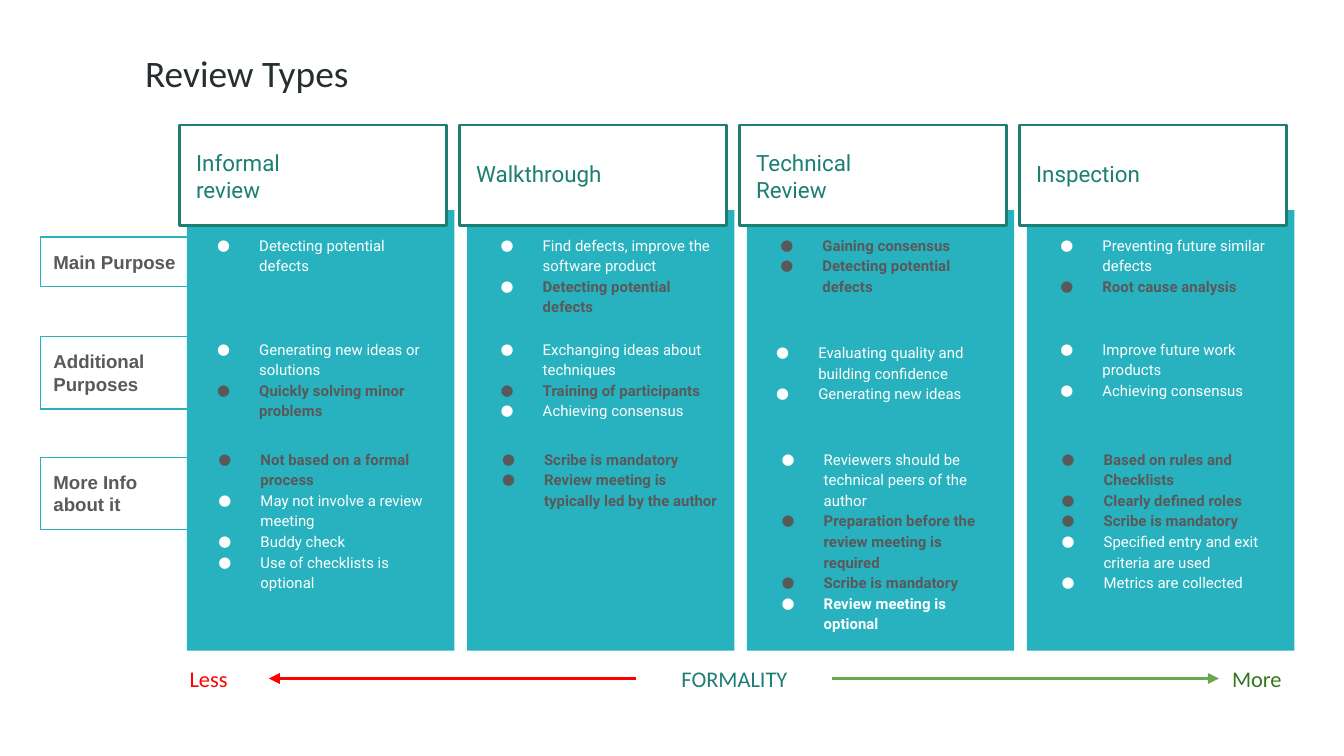
from lxml import etree
from pptx import Presentation
from pptx.dml.color import RGBColor
from pptx.enum import shapes, text
from pptx.oxml import ns
from pptx.util import Pt

TEAL, DARK_TEAL, GRAY, WHITE = "28B2BF", "1D7E74", "595959", "FFFFFF"
RED, GREEN, DARK_GREEN, INK = "FF0000", "6AA84F", "38761D", "262E30"


def rgb(value):
    return RGBColor.from_string(value)


def add_xml(parent, tag, **attrs):
    return etree.SubElement(parent, ns.qn(tag), **attrs)


def write(tf, content, size=12, font="Roboto", color=DARK_TEAL, bold=False,
          bullet=None, spacing=None, align=None, first=False):
    """Add one paragraph to a text frame."""
    p = tf.paragraphs[0] if first else tf.add_paragraph()
    if bullet:
        pr = p._p.get_or_add_pPr()
        pr.set("marL", str(Pt(36)))
        pr.set("indent", str(-Pt(22.5)))
        add_xml(add_xml(pr, "a:buClr"), "a:srgbClr", val=bullet)
        add_xml(pr, "a:buFont", typeface=font)
        add_xml(pr, "a:buChar", char="●")
    if spacing:
        p.line_spacing = spacing
    if align:
        p.alignment = align
    r = p.add_run()
    r.text = content
    r.font.size, r.font.name, r.font.bold = Pt(size), font, bold
    r.font.color.rgb = rgb(color)


class Deck:
    def __init__(self):
        self.prs = Presentation()
        self.prs.slide_width, self.prs.slide_height = Pt(720), Pt(405)
        self.s = self.prs.slides.add_slide(self.prs.slide_layouts[6])

    def frame(self, sp, anchor=text.MSO_ANCHOR.TOP):
        tf = sp.text_frame
        tf.word_wrap = True
        tf.vertical_anchor = anchor
        tf.margin_left = tf.margin_right = Pt(7.2)
        tf.margin_top = tf.margin_bottom = Pt(7.2)
        return tf

    def rect(self, x, y, w, h, fill=None, line=None, width=1.5):
        sp = self.s.shapes.add_shape(shapes.MSO_SHAPE.RECTANGLE,
                                     Pt(x), Pt(y), Pt(w), Pt(h))
        sp.shadow.inherit = False
        if fill:
            sp.fill.solid()
            sp.fill.fore_color.rgb = rgb(fill)
        else:
            sp.fill.background()
        if line:
            sp.line.color.rgb = rgb(line)
            sp.line.width = Pt(width)
        else:
            sp.line.fill.background()
        return sp

    def textbox(self, x, y, w, h, lines, anchor=text.MSO_ANCHOR.TOP, **fmt):
        sp = self.s.shapes.add_textbox(Pt(x), Pt(y), Pt(w), Pt(h))
        tf = self.frame(sp, anchor)
        for i, line in enumerate(lines):
            write(tf, line, first=i == 0, **fmt)
        return sp

    def label(self, x, y, w, h, lines):
        tf = self.frame(self.rect(x, y, w, h, line=TEAL, width=0.75))
        for i, line in enumerate(lines):
            write(tf, line, size=10, font="Arial", color=GRAY, bold=True,
                  align=text.PP_ALIGN.LEFT, first=i == 0)

    def bullets(self, x, y, w, h, items):
        sp = self.s.shapes.add_textbox(Pt(x), Pt(y), Pt(w), Pt(h))
        tf = self.frame(sp)
        for i, (content, fmt) in enumerate(items):
            write(tf, content, size=8, spacing=1.15, first=i == 0, **fmt)

    def arrow(self, start, start_site, end, end_site, color):
        c = self.s.shapes.add_connector(shapes.MSO_CONNECTOR.STRAIGHT, 0, 0, 0, 0)
        c.begin_connect(start, start_site)
        c.end_connect(end, end_site)
        c.line.color.rgb = rgb(color)
        c.line.width = Pt(1.5)
        add_xml(c.line._get_or_add_ln(), "a:tailEnd", type="triangle")
        add_xml(c._element.spPr, "a:effectLst")


# Bullet styles
PLAIN = dict(color=WHITE, bullet=WHITE)
KEY = dict(color=GRAY, bullet=GRAY, bold=True)
KEY_WHITE_DOT = dict(KEY, bullet=WHITE)
BOLD = dict(PLAIN, bold=True)

# Each column: heading lines, text left edge, then one bullet list per row
COLUMNS = [
    (["Informal", "review"], 95.8, [
        [("Detecting potential defects", PLAIN)],
        [("Generating new ideas or solutions", PLAIN),
         ("Quickly solving minor problems", KEY)],
        [("Not based on a formal process", KEY),
         ("May not involve a review meeting", PLAIN),
         ("Buddy check", PLAIN),
         ("Use of checklists is optional", PLAIN)]]),
    (["Walkthrough"], 247.7, [
        [("Find defects, improve the software product", PLAIN),
         ("Detecting potential defects", KEY_WHITE_DOT)],
        [("Exchanging ideas about techniques", PLAIN),
         ("Training of participants", KEY),
         ("Achieving consensus", PLAIN)],
        [("Scribe is mandatory", KEY),
         ("Review meeting is typically led by the author", KEY)]]),
    (["Technical", "Review"], 397.5, [
        [("Gaining consensus", KEY),
         ("Detecting potential defects", KEY)],
        [("Evaluating quality and building confidence", PLAIN),
         ("Generating new ideas", PLAIN)],
        [("Reviewers should be technical peers of the author", PLAIN),
         ("Preparation before the review meeting is required", KEY),
         ("Scribe is mandatory", KEY),
         ("Review meeting is optional", BOLD)]]),
    (["Inspection"], 547.5, [
        [("Preventing future similar defects", PLAIN),
         ("Root cause analysis", KEY)],
        [("Improve future work products", PLAIN),
         ("Achieving consensus", PLAIN)],
        [("Based on rules and Checklists", KEY),
         ("Clearly defined roles", KEY),
         ("Scribe is mandatory", KEY),
         ("Specified entry and exit criteria are used", PLAIN),
         ("Metrics are collected", PLAIN)]]),
]
ROWS = [(118, 39), (173.7, 39), (232.7, 106.5)]
NUDGES = {(2, 1): (-2.2, 1.8)}  # (column, row): shift of one list
LEFT, PITCH, WIDTH = 96, 150, 143.2


def main():
    d = Deck()

    # Title
    d.textbox(70.6, 13.6, 574.5, 54, ["Review Types"], text.MSO_ANCHOR.MIDDLE,
              size=20, font="Calibri", color=INK, spacing=0.85)

    # Column panels and headings
    for i, (heading, _, _) in enumerate(COLUMNS):
        x = LEFT + i * PITCH
        d.rect(x + 4.2, 112.6, WIDTH, 236, fill=TEAL)
        d.rect(x, 67, WIDTH, 54, fill=WHITE, line=DARK_TEAL)
        d.textbox(x + 2, 72.7 if len(heading) > 1 else 78.5, 98, 36, heading)

    # Row labels
    d.label(21.6, 127, 81.4, 26.7, ["Main Purpose"])
    d.label(21.6, 180.3, 81.4, 38.9, ["Additional Purposes"])
    d.label(21.6, 245, 90.7, 38.9, ["More Info", "about it"])

    # Bullet lists
    for i, (_, x, lists) in enumerate(COLUMNS):
        for j, ((y, h), items) in enumerate(zip(ROWS, lists)):
            dx, dy = NUDGES.get((i, j), (0, 0))
            offset = 0.7 if j == 2 else 0
            d.bullets(x + dx + offset, y + dy, WIDTH, h, items)

    # Formality scale
    scale = dict(y=349, h=29, font="Calibri")
    middle = d.textbox(x=341, w=105, lines=["FORMALITY"],
                       align=text.PP_ALIGN.CENTER, **scale)
    less = d.textbox(x=94.5, w=49.5, lines=["Less"], color=RED, **scale)
    more = d.textbox(x=653, w=49.5, lines=["More"], color=DARK_GREEN, **scale)
    d.arrow(middle, 1, less, 3, RED)
    d.arrow(middle, 3, more, 1, GREEN)

    d.prs.save("out.pptx")


if __name__ == "__main__":
    main()
